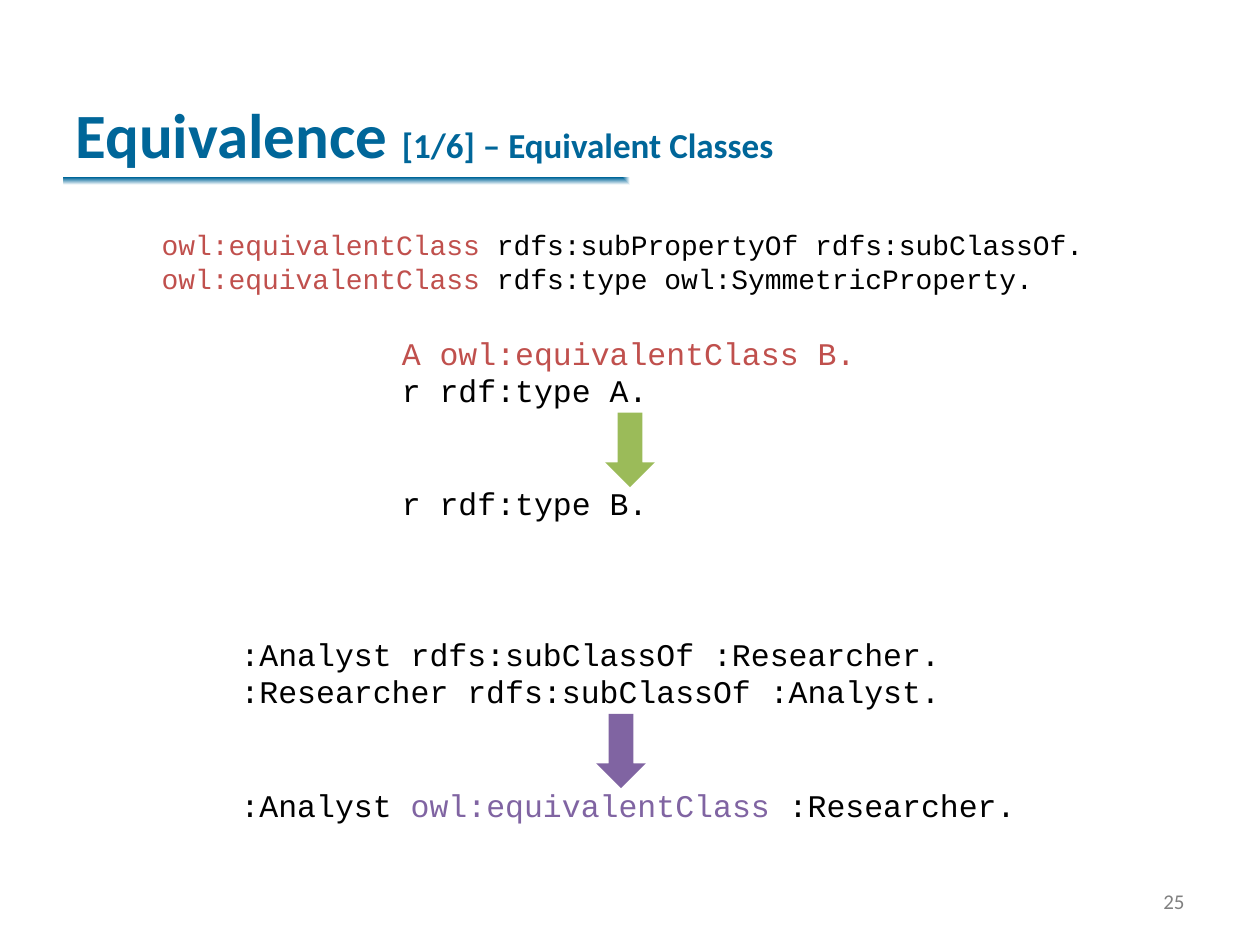
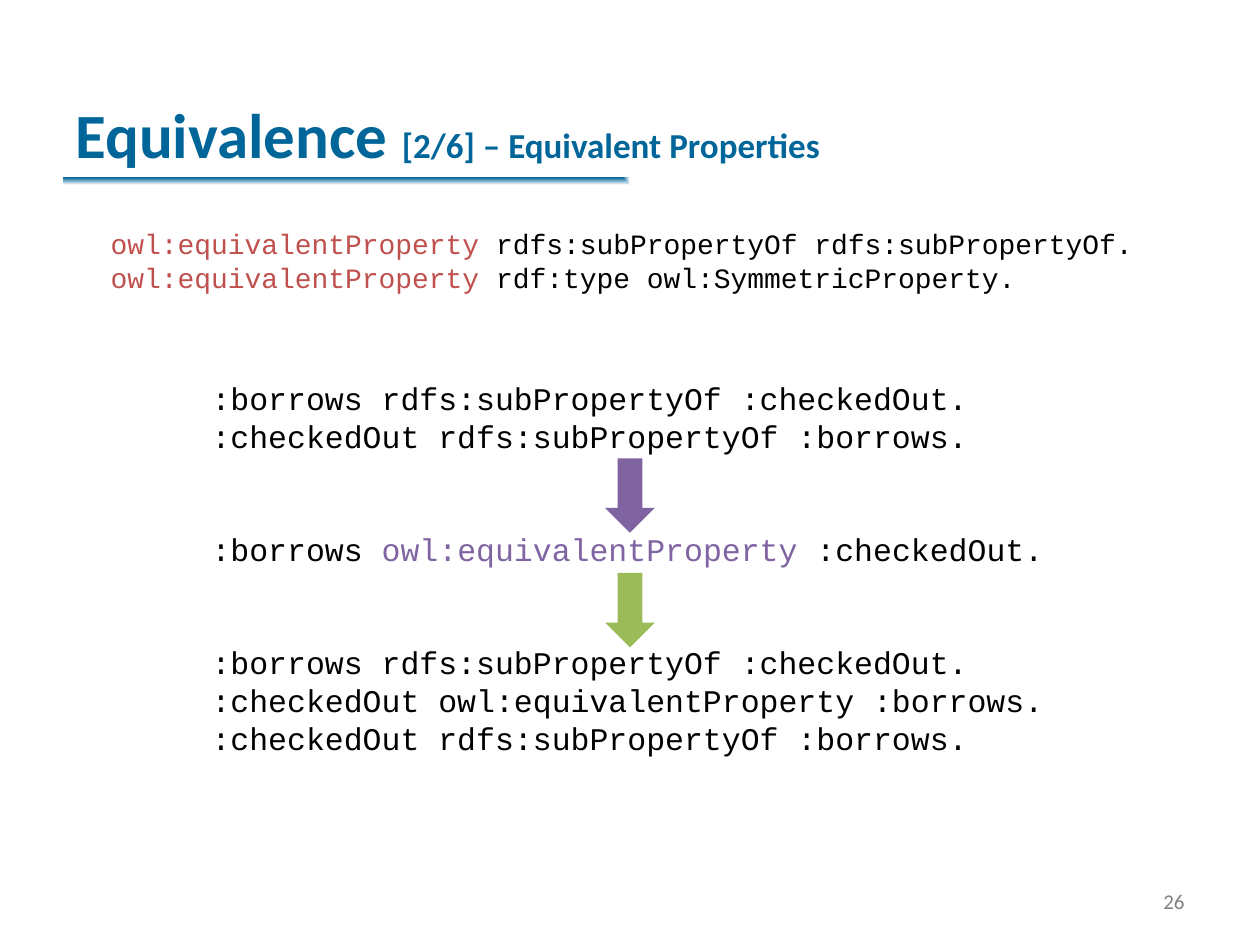
from pptx import Presentation
from pptx.dml.color import RGBColor
from pptx.enum.shapes import MSO_SHAPE
from pptx.enum.text import MSO_ANCHOR, MSO_AUTO_SIZE, PP_ALIGN
from pptx.oxml import parse_xml
from pptx.oxml.ns import nsdecls, qn
from pptx.util import Cm, Pt

COLORS = {
    "blue": "006699",
    "white": "FFFFFF",
    "gray": "808080",
    "black": "000000",
    "red": "C0504D",
    "green": "9BBB59",
    "purple": "8064A2",
}
SLIDE_WIDTH, SLIDE_HEIGHT = 25.4, 19.05
HEADING_FONT, CODE_FONT = "Calibri", "Courier New"
CODE_LINE = 0.77
STEP_GAP = 43
ARROW_WIDTH, ARROW_HEIGHT = 1.0, 1.5


def apply_format(target, values):
    """Set every attribute named in values on target."""
    for name, value in values.items():
        setattr(target, name, value)


def add_run(paragraph, text, color, size, font, bold=False):
    """Append a formatted run to a paragraph."""
    run = paragraph.add_run()
    run.text = text
    apply_format(run.font, {"name": font, "size": Pt(size), "bold": bold})
    run.font.color.rgb = RGBColor.from_string(COLORS[color])


def add_plain_shape(slide, kind, left, top, width, height):
    """Add a preset shape without shadow or outline."""
    shape = slide.shapes.add_shape(kind, Cm(left), Cm(top), Cm(width), Cm(height))
    shape.shadow.inherit = False
    shape.line.fill.background()
    return shape


def add_title_rule(slide):
    """Place the fading rule under the title on the layout of the slide."""
    rule = add_plain_shape(slide, MSO_SHAPE.RECTANGLE, 1.29, 3.58, 22.82, 0.3)
    rule.fill.background()
    gradient = parse_xml(
        f'<a:gradFill {nsdecls("a")} rotWithShape="0"><a:gsLst>'
        f'<a:gs pos="0"><a:srgbClr val="{COLORS["blue"]}"/></a:gs>'
        f'<a:gs pos="100000"><a:srgbClr val="{COLORS["white"]}"/></a:gs></a:gsLst>'
        '<a:path path="rect"><a:fillToRect r="100000" b="100000"/></a:path></a:gradFill>'
    )
    properties = rule.element.spPr
    properties.replace(properties.find(qn("a:noFill")), gradient)
    rule.element.nvSpPr.cNvPr.set("id", "20")
    slide.slide_layout.shapes.element.append(rule.element)


def add_heading(slide, part, topic):
    """Fill the title placeholder with the series name, part and topic."""
    title = slide.shapes.title
    apply_format(title, {"left": Cm(1.27), "top": Cm(0), "width": Cm(22.86), "height": Cm(3.58)})
    apply_format(title.text_frame, {
        "vertical_anchor": MSO_ANCHOR.BOTTOM,
        "auto_size": MSO_AUTO_SIZE.NONE,
        "word_wrap": True,
    })
    paragraph = title.text_frame.paragraphs[0]
    paragraph.alignment = PP_ALIGN.LEFT
    add_run(paragraph, "Equivalence ", "blue", 36, HEADING_FONT, True)
    add_run(paragraph, f"[{part}/6] – {topic}", "blue", 20, HEADING_FONT, True)


def add_page_number(slide, number):
    """Write the page number in the bottom right corner."""
    box = slide.shapes.add_textbox(Cm(22.81), Cm(17.65), Cm(1.32), Cm(1.02))
    apply_format(box.text_frame, {"vertical_anchor": MSO_ANCHOR.MIDDLE, "word_wrap": True})
    paragraph = box.text_frame.paragraphs[0]
    paragraph.alignment = PP_ALIGN.RIGHT
    add_run(paragraph, str(number), "gray", 12, HEADING_FONT)


def add_code(slide, box, steps, size):
    """Write steps of coloured code lines into a box, with a gap between steps."""
    code = slide.shapes.add_textbox(*map(Cm, box))
    frame = code.text_frame
    apply_format(frame, {"word_wrap": False, "auto_size": MSO_AUTO_SIZE.SHAPE_TO_FIT_TEXT})
    paragraph = None
    for step in steps:
        for index, line in enumerate(step):
            if paragraph is None:
                paragraph = frame.paragraphs[0]
            else:
                paragraph = frame.add_paragraph()
                paragraph.space_before = Pt(0 if index else STEP_GAP)
            for text, color in line:
                add_run(paragraph, text, color, size, CODE_FONT)


def add_axioms(slide, top, width, term, statements):
    """Write the centred axioms that define a term."""
    steps = [[[(f"{term} ", "red"), (statement, "black")] for statement in statements]]
    add_code(slide, ((SLIDE_WIDTH - width) / 2, top, width, 1.63), steps, 16)


def add_derivation(slide, top, width, steps, arrow_colors, arrow_shift=0):
    """Write centred derivation steps joined by down arrows."""
    lines = sum(map(len, steps)) + 2 * len(arrow_colors)
    left = (SLIDE_WIDTH - width) / 2
    add_code(slide, (left, top, width, 0.25 + CODE_LINE * lines), steps, 18)
    arrow_left = left + (width - ARROW_WIDTH) / 2 + arrow_shift
    lines_above = 0
    for step, color in zip(steps, arrow_colors):
        lines_above += len(step)
        arrow_top = top + 0.18 + CODE_LINE * lines_above
        arrow = add_plain_shape(
            slide, MSO_SHAPE.DOWN_ARROW, arrow_left, arrow_top, ARROW_WIDTH, ARROW_HEIGHT
        )
        arrow.fill.solid()
        arrow.fill.fore_color.rgb = RGBColor.from_string(COLORS[color])
        lines_above += 2


def plain(*lines):
    """Return a step whose lines are all black."""
    return [[(line, "black")] for line in lines]


def add_slide(presentation, part, topic):
    """Add a slide with its heading and page number."""
    slide = presentation.slides.add_slide(presentation.slide_layouts[5])
    add_heading(slide, part, topic)
    add_page_number(slide, 24 + part)
    return slide


def build_classes_slide(presentation):
    """Build the slide on equivalent classes."""
    slide = add_slide(presentation, 1, "Equivalent Classes")
    add_title_rule(slide)
    add_derivation(slide, 6.6, 9.7, [
        [[("A owl:equivalentClass B.", "red")], *plain("r rdf:type A.")],
        plain("r rdf:type B."),
    ], ["green"])
    add_derivation(slide, 12.67, 16.2, [
        plain(":Analyst rdfs:subClassOf :Researcher.", ":Researcher rdfs:subClassOf :Analyst."),
        [[(":Analyst ", "black"), ("owl:equivalentClass", "purple"), (" :Researcher.", "black")]],
    ], ["purple"], arrow_shift=-0.18)
    add_axioms(slide, 4.47, 19.38, "owl:equivalentClass", [
        "rdfs:subPropertyOf rdfs:subClassOf.",
        "rdfs:type owl:SymmetricProperty.",
    ])


def build_properties_slide(presentation):
    """Build the slide on equivalent properties."""
    slide = add_slide(presentation, 2, "Equivalent Properties")
    add_axioms(slide, 4.45, 21.44, "owl:equivalentProperty", [
        "rdfs:subPropertyOf rdfs:subPropertyOf.",
        "rdf:type owl:SymmetricProperty.",
    ])
    forward = ":borrows rdfs:subPropertyOf :checkedOut."
    backward = ":checkedOut rdfs:subPropertyOf :borrows."
    add_derivation(slide, 7.52, 17.37, [
        plain(forward, backward),
        [[(":borrows ", "black"), ("owl:equivalentProperty", "purple"), (" :checkedOut.", "black")]],
        plain(forward, ":checkedOut owl:equivalentProperty :borrows.", backward),
    ], ["purple", "green"])


def main():
    """Build and save the presentation."""
    presentation = Presentation()
    apply_format(presentation, {"slide_width": Cm(SLIDE_WIDTH), "slide_height": Cm(SLIDE_HEIGHT)})
    build_classes_slide(presentation)
    build_properties_slide(presentation)
    presentation.save("out.pptx")


if __name__ == "__main__":
    main()
